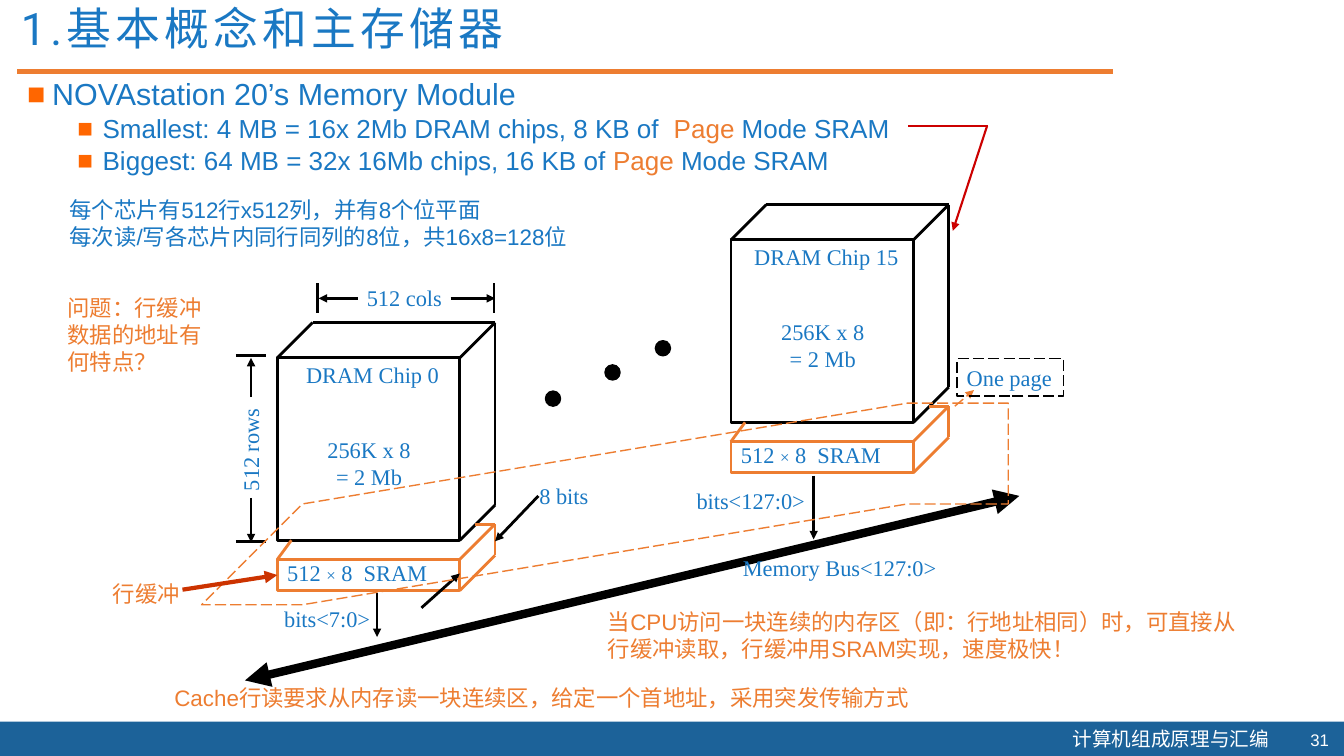
from lxml.etree import SubElement
from pptx import Presentation
from pptx.dml.color import RGBColor
from pptx.enum.dml import MSO_LINE
from pptx.enum.shapes import MSO_CONNECTOR, MSO_SHAPE as SHAPE
from pptx.enum.text import MSO_ANCHOR as ANCHOR, MSO_AUTO_SIZE as FIT, PP_ALIGN as ALIGN
from pptx.oxml.ns import qn
from pptx.util import Inches, Pt

BLUE, ORANGE, BLACK, WHITE = "1A78C3", "ED7D31", "000000", "FFFFFF"
NAVY, RED, DARK_ORANGE, BULLET = "1C6299", "CC0000", "CC3300", "FF6600"
SERIF, SANS, CJK = "Times New Roman", "Arial", "Noto Sans CJK SC"
PAD = (0.1, 0.05)


def rgb(color):
    return RGBColor.from_string(color)


def add_run(p, text, size=16, font=SANS, color=BLUE, spacing=None):
    r = p.add_run()
    r.text = text
    r.font.size, r.font.name = Pt(size), font
    r.font.color.rgb = rgb(color)
    rPr = r.font._element
    if spacing:
        rPr.set("spc", str(spacing * 100))
    SubElement(rPr, qn("a:ea")).set("typeface", CJK)


def fill_text(sp, paragraphs, pad=(0, 0), wrap=True, align=ALIGN.LEFT, anchor=ANCHOR.TOP,
              fit=FIT.SHAPE_TO_FIT_TEXT, leading=None, **style):
    """Each paragraph is a string or a list of (text, style overrides)."""
    tf = sp.text_frame
    tf.word_wrap, tf.auto_size, tf.vertical_anchor = wrap, fit, anchor
    tf.margin_left = tf.margin_right = Inches(pad[0])
    tf.margin_top = tf.margin_bottom = Inches(pad[1])
    for i, runs in enumerate(paragraphs):
        p = tf.add_paragraph() if i else tf.paragraphs[0]
        p.alignment = align
        if leading:
            p.line_spacing = leading
        for text, extra in [(runs, {})] if isinstance(runs, str) else runs:
            add_run(p, text, **{**style, **extra})
    return tf


class Diagram:
    def __init__(self, slide):
        self.shapes = slide.shapes

    def text(self, x, y, w, h, *paragraphs, **style):
        sp = self.shapes.add_textbox(Inches(x), Inches(y), Inches(w), Inches(h))
        fill_text(sp, paragraphs, **style)
        return sp

    def label(self, x, y, w, h, *paragraphs, **style):
        return self.text(x, y, w, h, *paragraphs, pad=PAD, wrap=False, font=SERIF, **style)

    def stroke(self, sp, color, width, dash=False):
        sp.line.color.rgb, sp.line.width = rgb(color), Pt(width)
        if dash:
            sp.line.dash_style = MSO_LINE.LONG_DASH

    def shape(self, kind, x, y, w, h, fill=None, line=None, width=2, dash=False):
        sp = self.shapes.add_shape(kind, Inches(x), Inches(y), Inches(w), Inches(h))
        sp.shadow.inherit = False
        if fill:
            sp.fill.solid()
            sp.fill.fore_color.rgb = rgb(fill)
        else:
            sp.fill.background()
        if line:
            self.stroke(sp, line, width, dash)
        else:
            sp.line.fill.background()
        return sp

    def line(self, x1, y1, x2, y2, color=BLACK, width=2, dash=False, arrows=()):
        c = self.shapes.add_connector(MSO_CONNECTOR.STRAIGHT, Inches(x1), Inches(y1),
                                      Inches(x2), Inches(y2))
        self.stroke(c, color, width, dash)
        for end in arrows:
            SubElement(c.line._get_or_add_ln(), qn(f"a:{end}")).set("type", "triangle")
        SubElement(c._element.spPr, qn("a:effectLst"))
        return c

    def arrow(self, *ends, **style):
        return self.line(*ends, arrows=("tailEnd",), **style)

    def outline(self, points, color):
        fb = self.shapes.build_freeform(*points[0], scale=Inches(1))
        fb.add_line_segments(points[1:], close=False)
        sp = fb.convert_to_shape()
        sp.shadow.inherit = False
        sp.fill.background()
        self.stroke(sp, color, 1, dash=True)

    def chip(self, x, y, number):
        """Draws a DRAM cube with its SRAM row buffer; returns the buffer's front."""
        side, depth, buf, thick = 1.81, 0.35, y + 2, 0.31
        right, back = x + side, x + side + depth
        self.shape(SHAPE.RECTANGLE, x, y, side, side, line=BLACK)
        for cx, cy in ((x, y), (right, y), (right, y + side)):
            self.line(cx, cy, cx + depth, cy - depth)
        self.line(x + depth, y - depth, back, y - depth)
        self.line(back, y - depth, back, y + side - depth)
        self.label(x + 0.1, y - 0.02, 1.69, 0.36, f"DRAM Chip {number}", align=ALIGN.CENTER)
        self.label(x + 0.39, y + 0.73, 1.04, 0.63, "256K x 8", "= 2 Mb", align=ALIGN.CENTER)
        # Row buffer
        front = self.shape(SHAPE.RECTANGLE, x, buf, side, thick, line=ORANGE)
        top = buf - depth
        for ends in ((right, buf, back, top), (back, top, back, top + thick),
                     (right, buf + thick, back, top + thick),
                     (x, buf, x + 0.14, y + side), (back, top, back - 0.2, top)):
            self.line(*ends, color=ORANGE)
        self.label(x, buf - 0.05, 1.68, 0.36,
                   [("512 ", {}), ("×", {"size": 12}), (" 8  SRAM", {})])
        return front


def bullets(d):
    tail = (" Mode SRAM", {})
    page = ("Page", {"color": ORANGE})
    sp = d.text(0.17, 0.77, 13.1, 1.05, "NOVAstation 20’s Memory Module",
                pad=PAD, fit=FIT.NONE, leading=0.8, size=21.7)
    tf = sp.text_frame
    for lead in ("Smallest: 4 MB = 16x 2Mb DRAM chips, 8 KB of  ",
                 "Biggest: 64 MB = 32x 16Mb chips, 16 KB of "):
        p = tf.add_paragraph()
        p.level, p.line_spacing = 1, 0.8
        for text, extra in ((lead, {}), page, tail):
            add_run(p, text, size=18.6, **extra)
    for p in tf.paragraphs:
        p.space_before = Pt(5 if p.level else 10)
        pPr = p._p.get_or_add_pPr()
        pPr.set("marL", str(Inches(0.75 if p.level else 0.25)))
        pPr.set("indent", str(Inches(-0.25)))
        SubElement(SubElement(pPr, qn("a:buClr")), qn("a:srgbClr")).set("val", BULLET)
        SubElement(pPr, qn("a:buFont")).set("typeface", SANS)
        SubElement(pPr, qn("a:buChar")).set("char", "■")


def main():
    prs = Presentation()
    prs.slide_width, prs.slide_height = Inches(13.33), Inches(7.5)
    d = Diagram(prs.slides.add_slide(prs.slide_layouts[6]))

    # Title, footer and bullets
    d.shape(SHAPE.RECTANGLE, 0, 7.16, 13.33, 0.35, fill=NAVY)
    d.text(10.54, 7.16, 2.18, 0.34, "计算机组成原理与汇编", pad=PAD, size=14, font=CJK, color=WHITE)
    d.text(12.78, 7.19, 0.5, 0.3, "31", pad=PAD, size=12, color=WHITE,
           align=ALIGN.RIGHT, anchor=ANCHOR.MIDDLE, fit=FIT.NONE)
    d.line(0.17, 0.71, 11.04, 0.71, color=ORANGE, width=3)
    d.text(0.11, 0.07, 10.65, 0.48, "1.基本概念和主存储器", pad=(0.1, 0), fit=FIT.NONE,
           leading=0.9, size=32, font="Roboto", spacing=3)
    bullets(d)

    # Chips and the dots between them
    row_buffer = d.chip(2.75, 3.55, 0)
    d.chip(7.25, 2.38, 15)
    for x, y in ((5.41, 3.88), (6, 3.62), (6.5, 3.38)):
        d.shape(SHAPE.OVAL, x, y, 0.15, 0.15, fill=BLACK, line=BLACK, width=1)

    # Row and column dimensions
    for y in (3.53, 5.37):
        d.line(2.34, y, 2.64, y)
    for x in (3.15, 4.9):
        d.line(x, 2.81, x, 3.11)
    for ends in ((2.49, 4.94, 2.49, 5.38), (2.49, 3.94, 2.49, 3.55),
                 (3.55, 2.96, 3.16, 2.96), (4.47, 2.96, 4.91, 2.96)):
        d.arrow(*ends)
    d.label(1.96, 4.27, 1.04, 0.36, "512 rows").rotation = 270
    d.label(3.54, 2.77, 0.96, 0.37, "512 cols")

    # Data outputs and memory bus
    for ends in ((3.74, 5.88, 3.74, 6.32), (8.07, 4.72, 8.07, 5.35),
                 (5.34, 4.92, 4.91, 5.37), (4.18, 6.03, 4.56, 5.69)):
        d.arrow(*ends)
    d.line(2.43, 6.75, 10.11, 4.92, width=6, arrows=("headEnd", "tailEnd"))
    for x, y, w, text in ((2.72, 5.95, 1.1, "bits<7:0>"), (6.81, 4.78, 1.32, "bits<127:0>"),
                          (5.25, 4.73, 0.71, "8 bits"), (7.27, 5.45, 2.2, "Memory Bus<127:0>")):
        d.label(x, y, w, 0.36, text)

    # One page across all row buffers
    d.outline([(3.41, 6.16), (3.25, 6.25), (3.02, 6.29), (2.82, 6.28), (2.69, 6.23),
               (2.57, 6.08), (2.47, 5.83), (2.44, 5.75), (2.45, 5.55), (2.52, 5.38),
               (2.58, 5.31), (2.75, 5.25), (8.95, 3.8), (9.06, 3.77), (9.16, 3.78),
               (9.3, 3.82), (9.41, 3.94), (9.53, 4.06), (9.59, 4.16), (9.62, 4.29),
               (9.61, 4.5), (9.57, 4.66), (9.48, 4.78), (3.16, 6.26)], ORANGE)
    d.arrow(9.47, 4.03, 9.66, 3.87, color=ORANGE, width=1, dash=True)
    page = d.shape(SHAPE.RECTANGLE, 9.49, 3.56, 1.06, 0.37, line=BLACK, width=1, dash=True)
    fill_text(page, ["One page"], pad=PAD, wrap=False, font=SERIF)

    # Pointers
    d.arrow(1.81, 5.85, 2.75, 5.7, color=DARK_ORANGE, width=3).end_connect(row_buffer, 1)
    d.line(9.01, 1.25, 9.8, 1.25, color=RED, width=1.5)
    d.arrow(9.79, 1.25, 9.45, 2.29, color=RED, width=1.5)

    # Remarks
    d.text(0.69, 1.95, 5.83, 0.53, "每个芯片有512行x512列，并有8个位平面",
           "每次读/写各芯片内同行同列的8位，共16x8=128位")
    d.text(1.12, 5.7, 1.02, 0.29, "行缓冲", color=ORANGE, leading=1.2)
    for x, y, w, h, text in (
            (0.67, 2.92, 1.51, 0.81, "问题：行缓冲数据的地址有何特点？"),
            (1.73, 6.79, 8.3, 0.27, "Cache行读要求从内存读一块连续区，给定一个首地址，采用突发传输方式"),
            (6.03, 6.03, 6.3, 0.53, "当CPU访问一块连续的内存区（即：行地址相同）时，可直接从行缓冲读取，"
                                    "行缓冲用SRAM实现，速度极快！")):
        d.text(x, y, w, h, text, color=ORANGE)

    prs.save("out.pptx")


if __name__ == "__main__":
    main()
